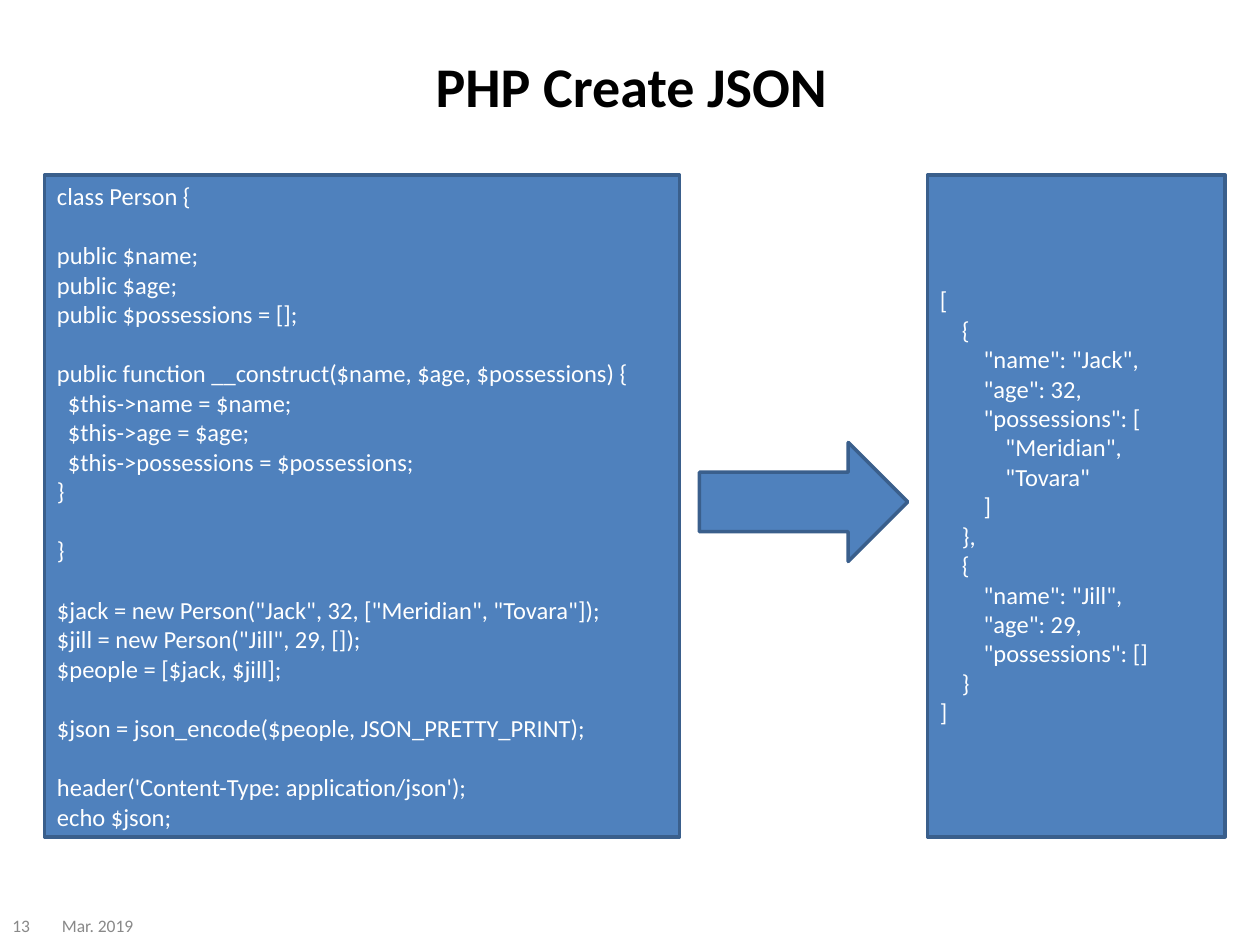
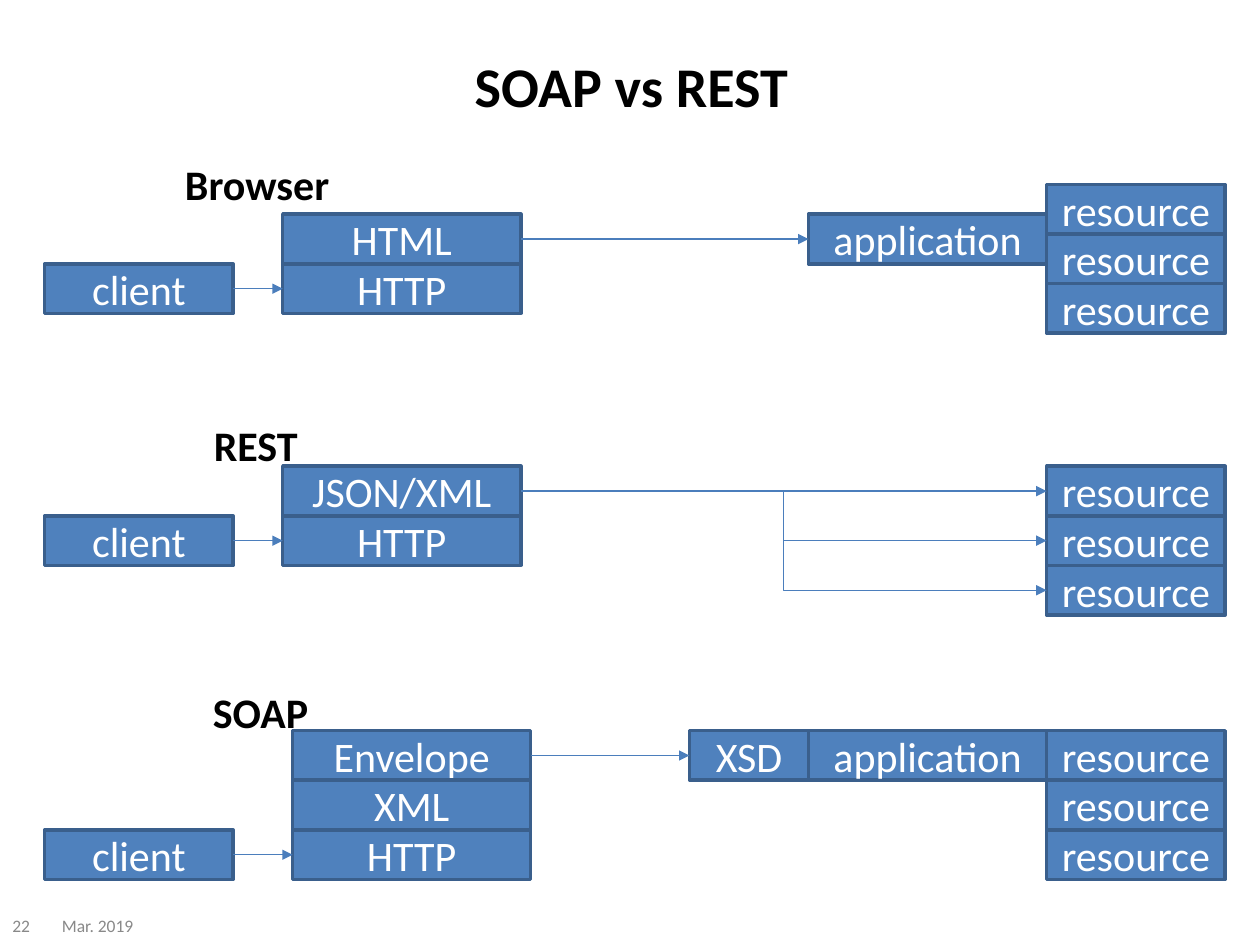
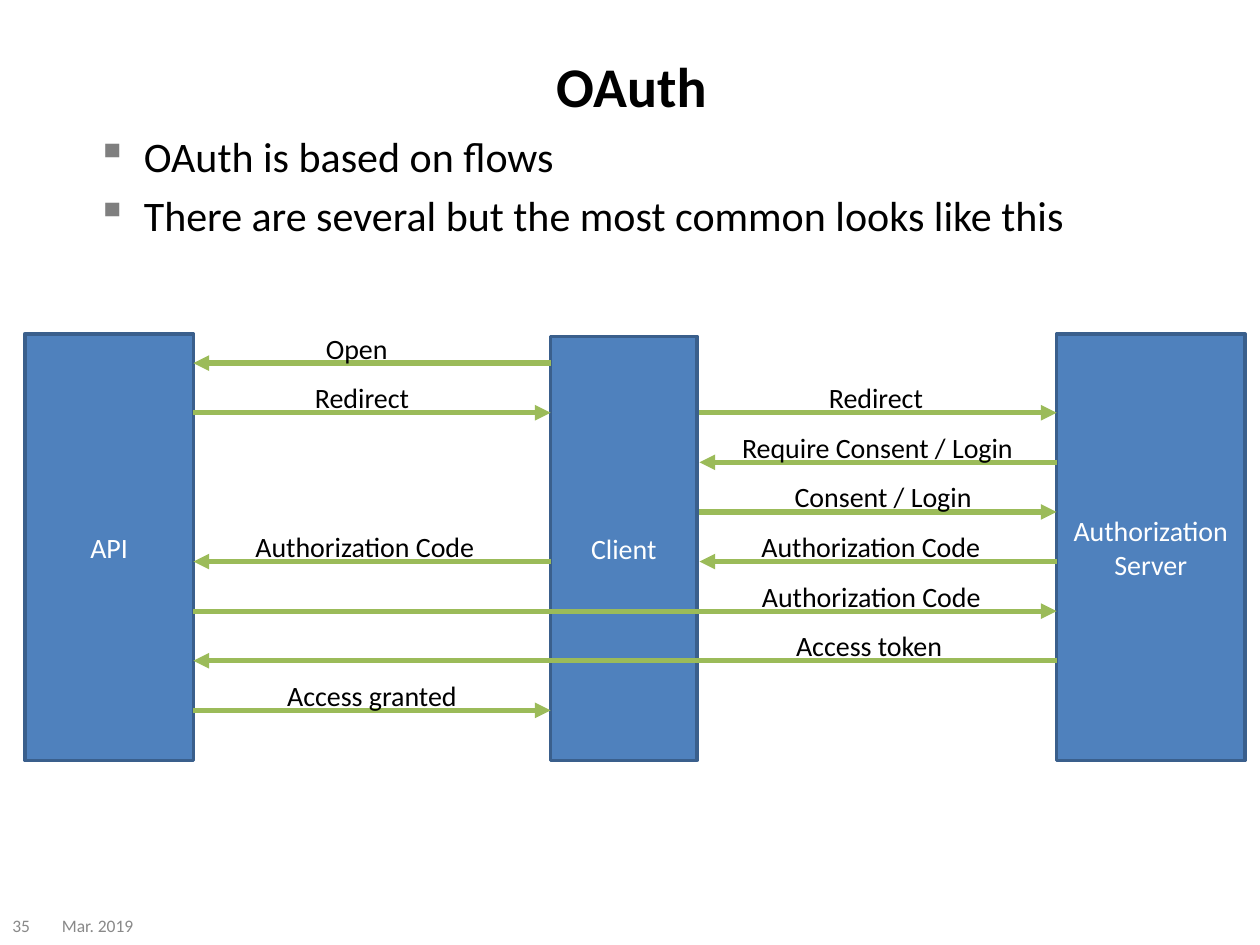
import pptx
import pptx.dml.color
import pptx.enum.shapes
import pptx.enum.text
import pptx.oxml
import pptx.oxml.ns
import pptx.util

Cm, Pt = pptx.util.Cm, pptx.util.Pt
RGBColor = pptx.dml.color.RGBColor
SHAPE = pptx.enum.shapes.MSO_SHAPE
CONNECTOR = pptx.enum.shapes.MSO_CONNECTOR
ALIGN = pptx.enum.text.PP_ALIGN
ANCHOR = pptx.enum.text.MSO_ANCHOR
qn = pptx.oxml.ns.qn

BLACK = RGBColor(0x00, 0x00, 0x00)
WHITE = RGBColor(0xFF, 0xFF, 0xFF)
GREY = RGBColor(0x89, 0x89, 0x89)
BULLET_GREY = RGBColor(0x7F, 0x7F, 0x7F)
BLUE = RGBColor(0x4F, 0x81, 0xBD)
BLUE_EDGE = RGBColor(0x3A, 0x5F, 0x8C)
BLUE_LINE = RGBColor(0x4B, 0x7E, 0xBC)
GREEN = RGBColor(0x9B, 0xBB, 0x59)
FONT = "Calibri"

CODE_SIZE, CODE_LINE, CODE_SPACE = 14, 17.1, 0.11
CELL = 1.0
LEFT_SITE, RIGHT_SITE = 1, 3

PHP_CODE = """class Person {

public $name;
public $age;
public $possessions = [];

public function __construct($name, $age, $possessions) {
  $this->name = $name;
  $this->age = $age;
  $this->possessions = $possessions;
}

}

$jack = new Person("Jack", 32, ["Meridian", "Tovara"]);
$jill = new Person("Jill", 29, []);
$people = [$jack, $jill];

$json = json_encode($people, JSON_PRETTY_PRINT);

header('Content-Type: application/json');
echo $json;"""

JSON_CODE = """[
    {
        "name": "Jack",
        "age": 32,
        "possessions": [
            "Meridian",
            "Tovara"
        ]
    },
    {
        "name": "Jill",
        "age": 29,
        "possessions": []
    }
]"""

API_EDGE, CLIENT_LEFT, CLIENT_RIGHT, AUTH_EDGE = 3.4, 10.6, 13.6, 20.8
MESSAGES = [
    (0, CLIENT_LEFT, API_EDGE, "Open", 5.82, 1.78),
    (1, API_EDGE, CLIENT_LEFT, "Redirect", 5.6, 2.44),
    (1, CLIENT_RIGHT, AUTH_EDGE, "Redirect", 15.96, 2.44),
    (2, AUTH_EDGE, CLIENT_RIGHT, "Require Consent / Login", 14.21, 6.05),
    (3, CLIENT_RIGHT, AUTH_EDGE, "Consent / Login", 15.27, 4.11),
    (4, CLIENT_LEFT, API_EDGE, "Authorization Code", 4.4, 4.98),
    (4, AUTH_EDGE, CLIENT_RIGHT, "Authorization Code", 14.6, 4.98),
    (5, API_EDGE, AUTH_EDGE, "Authorization Code", 14.61, 4.98),
    (6, AUTH_EDGE, API_EDGE, "Access token", 15.3, 3.51),
    (7, API_EDGE, CLIENT_LEFT, "Access granted", 5.04, 3.96),
]


def add_run(p, text, size, color, bold=False):
    """Add one formatted run to a paragraph."""
    r = p.add_run()
    r.text = text
    r.font.name, r.font.size, r.font.bold = FONT, Pt(size), bold
    r.font.color.rgb = color


def add_text(s, x, y, w, h, text, size, color=BLACK, bold=False, wrap=True,
             anchor=ANCHOR.TOP, align=ALIGN.LEFT):
    """Add a text box with one paragraph."""
    tf = s.shapes.add_textbox(Cm(x), Cm(y), Cm(w), Cm(h)).text_frame
    tf.word_wrap, tf.vertical_anchor = wrap, anchor
    tf.paragraphs[0].alignment = align
    add_run(tf.paragraphs[0], text, size, color, bold)


def add_block(s, x, y, w, h, text="", size=24, kind=SHAPE.RECTANGLE):
    """Add a blue outlined shape with centred white text."""
    sp = s.shapes.add_shape(kind, Cm(x), Cm(y), Cm(w), Cm(h))
    sp.shadow.inherit = False
    sp.fill.solid()
    sp.fill.fore_color.rgb = BLUE
    sp.line.color.rgb = BLUE_EDGE
    sp.line.width = Pt(2)
    sp.text_frame.vertical_anchor = ANCHOR.MIDDLE
    if text:
        p = sp.text_frame.paragraphs[0]
        p.alignment = ALIGN.CENTER
        add_run(p, text, size, WHITE)
    return sp


def add_arrow(s, x1, y1, x2, y2, color, width, kind=CONNECTOR.STRAIGHT):
    """Add a connector with a triangular head at its end."""
    c = s.shapes.add_connector(kind, Cm(x1), Cm(y1), Cm(x2), Cm(y2))
    c.line.color.rgb = color
    c.line.width = Pt(width)
    ln = c.line._get_or_add_ln()
    ln.append(pptx.oxml.parse_xml(
        '<a:tailEnd %s type="triangle"/>' % pptx.oxml.ns.nsdecls("a")))
    c._element.spPr.append(pptx.oxml.parse_xml(
        "<a:effectLst %s/>" % pptx.oxml.ns.nsdecls("a")))
    return c


def join(s, start, end, kind=CONNECTOR.STRAIGHT):
    """Link the right side of one block to the left side of another."""
    c = add_arrow(s, 0, 0, 1, 1, BLUE_LINE, 0.75, kind)
    c.begin_connect(start, RIGHT_SITE)
    c.end_connect(end, LEFT_SITE)


def new_slide(prs, title, number):
    """Add a slide with its title, date and number."""
    s = prs.slides.add_slide(prs.slide_layouts[6])
    add_text(s, 1.3, 0.13, 22.86, 3.18, title, 32, bold=True,
             anchor=ANCHOR.MIDDLE, align=ALIGN.CENTER)
    for x, w, text in ((1, 2.4, "Mar. 2019"), (0, 1.2, str(number))):
        add_text(s, x, 18.26, w, 0.79, text, 10, GREY, anchor=ANCHOR.MIDDLE)
    return s


def code_panel(s, x, y, w, h, code):
    """Show code in a block, with indents and gaps as paragraph settings."""
    tf = add_block(s, x, y, w, h).text_frame
    tf.word_wrap = True
    p, gap = tf.paragraphs[0], 0
    for i, line in enumerate(code.split("\n")):
        text = line.lstrip()
        if not text:
            gap += CODE_LINE
            continue
        p = tf.add_paragraph() if i else p
        p.alignment = ALIGN.LEFT
        p.space_before = Pt(gap)
        indent = CODE_SPACE * (len(line) - len(text))
        p._p.get_or_add_pPr().set("marL", str(Cm(indent)))
        add_run(p, text, CODE_SIZE, WHITE)
        gap = 0


def code_to_json(s, x, y, w, h):
    """Place the code, the arrow and the resulting JSON side by side."""
    code_w, json_w, gap = 12.8, 6, 0.4
    code_panel(s, x, y, code_w, h, PHP_CODE)
    code_panel(s, x + w - json_w, y, json_w, h, JSON_CODE)
    add_block(s, x + code_w + gap, y + 5.39, w - code_w - json_w - 2 * gap,
              2.4, kind=SHAPE.RIGHT_ARROW)


def stack(s, x, y, w, texts):
    """Pile blocks of one cell height and return them."""
    return [add_block(s, x, y + i * CELL, w, CELL, text)
            for i, text in enumerate(texts)]


def protocol_row(s, x, y, w, heading, heading_box, layers, layers_x,
                 services=(), lift=0):
    """Draw one client, its protocol layers, services and resources."""
    resource_w = 3.6
    client = add_block(s, x, y + (len(layers) - 1) * CELL, 3.8, CELL, "client")
    protocol = stack(s, x + layers_x, y, 4.8, layers)
    right = x + w - resource_w
    resources = stack(s, right, y - lift, resource_w, ["resource"] * 3)
    target = resources[0]
    for text, service_w in services:
        right -= service_w
        target = add_block(s, right, y, service_w, CELL, text)
    join(s, client, protocol[-1])
    join(s, protocol[0], target)
    if not services:
        for resource in resources[1:]:
            join(s, protocol[0], resource, CONNECTOR.ELBOW)
    dx, dy, heading_w = heading_box
    add_text(s, x + dx, y + dy, heading_w, 1.27, heading, 24, bold=True,
             wrap=False)


def bullets(s, x, y, w, h, texts):
    """Write a list with square grey bullets."""
    tf = s.shapes.add_textbox(Cm(x), Cm(y), Cm(w), Cm(h)).text_frame
    tf.word_wrap = True
    for i, text in enumerate(texts):
        p = tf.add_paragraph() if i else tf.paragraphs[0]
        p.space_before = Pt(4.8)
        pPr = p._p.get_or_add_pPr()
        pPr.set("marL", str(Cm(0.95)))
        pPr.set("indent", str(Cm(-0.95)))
        color = pptx.oxml.parse_xml(
            '<a:buClr %s><a:srgbClr val="%s"/></a:buClr>'
            % (pptx.oxml.ns.nsdecls("a"), BULLET_GREY))
        char = pptx.oxml.parse_xml(
            '<a:buChar %s char="\u25aa"/>' % pptx.oxml.ns.nsdecls("a"))
        pPr.extend([color, char])
        add_run(p, text, 24, BLACK)


def message_flow(s, x, y, w, h):
    """Draw the three parties and the messages between them."""
    auth_w = w - AUTH_EDGE
    add_block(s, x + CLIENT_LEFT, y + 0.05, 2.95, h - 0.05, "Client", 16)
    add_block(s, x + AUTH_EDGE, y, auth_w, h, "Authorization Server", 16)
    add_block(s, x, y, API_EDGE, h, "API", 16)
    for step, start, end, text, text_x, text_w in MESSAGES:
        line_y = y + 0.59 + step
        add_arrow(s, x + start, line_y, x + end, line_y, GREEN, 3)
        add_text(s, x + text_x, line_y - 0.77, text_w, 0.94, text, 16,
                 wrap=False)


def main():
    """Build the three slides and save them."""
    prs = pptx.Presentation()
    prs.slide_width, prs.slide_height = Cm(25.4), Cm(19.05)

    s = new_slide(prs, "PHP Create JSON", 13)
    code_to_json(s, 0.9, 3.53, 23.8, 13.34)

    s = new_slide(prs, "SOAP vs REST", 22)
    protocol_row(s, 0.9, 4.32, 23.8, "Browser", (2.58, -1.25, 3.45),
                 ["HTML", "HTTP"], 4.8, [("application", 4.8)], lift=0.6)
    protocol_row(s, 0.9, 9.4, 23.8, "REST", (3.16, -1.07, 2.24),
                 ["JSON/XML", "HTTP"], 4.8)
    protocol_row(s, 0.9, 14.73, 23.8, "SOAP", (3.14, -1.01, 2.46),
                 ["Envelope", "XML", "HTTP"], 5,
                 [("application", 4.8), ("XSD", 2.4)])

    s = new_slide(prs, "OAuth", 35)
    bullets(s, 1.7, 2.51, 23.39, 14.73,
            ["OAuth is based on flows",
             "There are several but the most common looks like this"])
    message_flow(s, 0.5, 6.73, 24.6, 8.6)

    prs.save("out.pptx")


main()
